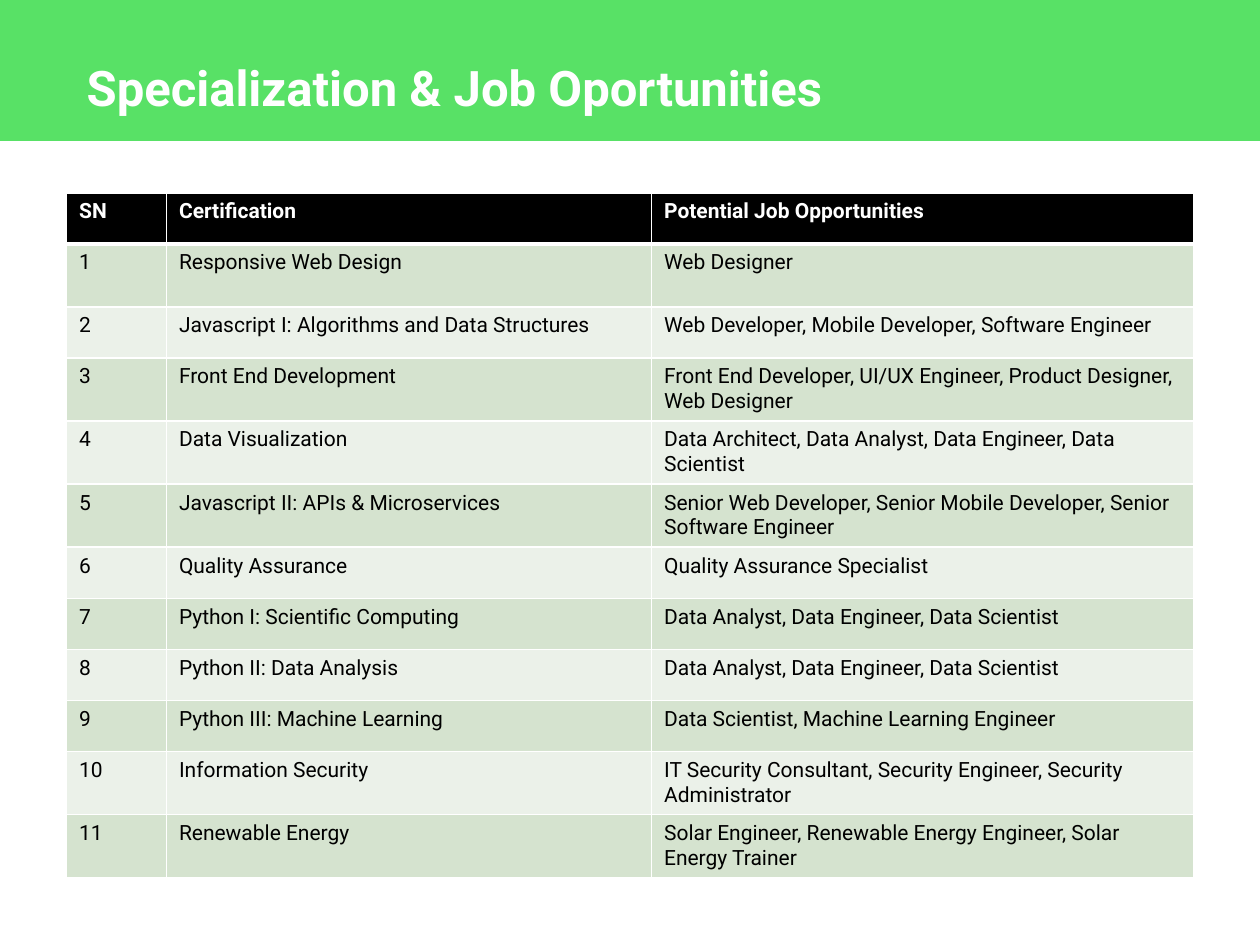
import dataclasses
import typing

import lxml.etree
import pptx
import pptx.dml.color
import pptx.enum.shapes
import pptx.enum.text
import pptx.oxml.ns
import pptx.util

Pt = pptx.util.Pt
qn = pptx.oxml.ns.qn


@dataclasses.dataclass(frozen=True)
class Theme:
    font: str = "Roboto"
    green: str = "58E166"
    white: str = "FFFFFF"
    black: str = "000000"
    bands: tuple[str, str] = ("D5E3CF", "EBF1E9")
    title: int = 28
    body: int = 12
    thin: int = 1
    thick: int = 3


@dataclasses.dataclass(frozen=True)
class Course:
    name: str
    jobs: str
    tall: bool = False


THEME = Theme()
SHORT, TALL = 29.2, 36
WIDTHS = (57.1, 277.2, 309.9)
HEADS = ("SN", "Certification", "Potential Job Opportunities")
COURSES = (
    Course("Responsive Web Design", "Web Designer", True),
    Course("Javascript I: Algorithms and Data Structures",
           "Web Developer, Mobile Developer, Software Engineer"),
    Course("Front End Development",
           "Front End Developer, UI/UX Engineer, Product Designer, Web Designer", True),
    Course("Data Visualization",
           "Data Architect, Data Analyst, Data Engineer, Data Scientist", True),
    Course("Javascript II: APIs & Microservices",
           "Senior Web Developer, Senior Mobile Developer, Senior Software Engineer", True),
    Course("Quality Assurance", "Quality Assurance Specialist"),
    Course("Python I: Scientific Computing", "Data Analyst, Data Engineer, Data Scientist"),
    Course("Python II: Data Analysis", "Data Analyst, Data Engineer, Data Scientist"),
    Course("Python III: Machine Learning", "Data Scientist, Machine Learning Engineer"),
    Course("Information Security",
           "IT Security Consultant, Security Engineer, Security Administrator", True),
    Course("Renewable Energy",
           "Solar Engineer, Renewable Energy Engineer, Solar Energy Trainer", True),
)


def paint(fill: typing.Any, color: str) -> None:
    fill.solid()
    fill.fore_color.rgb = pptx.dml.color.RGBColor.from_string(color)


def write(frame: typing.Any, text: str, size: int, color: str, bold: bool) -> None:
    run = frame.paragraphs[0].add_run()
    run.text = text
    for key, value in {"name": THEME.font, "size": Pt(size), "bold": bold}.items():
        setattr(run.font, key, value)
    paint(run.font.fill, color)


def edge(cell: typing.Any, widths: dict[str, int]) -> None:
    props = cell._tc.get_or_add_tcPr()
    for side, width in widths.items():
        line = lxml.etree.SubElement(props, qn(f"a:ln{side}"), w=str(Pt(width)))
        fill = lxml.etree.SubElement(line, qn("a:solidFill"))
        lxml.etree.SubElement(fill, qn("a:srgbClr"), val=THEME.white)


def draw_head(slide: typing.Any) -> None:
    band = slide.shapes.add_shape(
        pptx.enum.shapes.MSO_SHAPE.RECTANGLE, Pt(0), Pt(0), Pt(720), Pt(80.6))
    band.shadow.inherit = False
    paint(band.fill, THEME.green)
    band.line.fill.background()
    frame = slide.shapes.add_textbox(Pt(42.5), Pt(29.5), Pt(441.4), Pt(41)).text_frame
    form = {"word_wrap": True, "auto_size": pptx.enum.text.MSO_AUTO_SIZE.SHAPE_TO_FIT_TEXT}
    for key, value in form.items():
        setattr(frame, key, value)
    write(frame, "Specialization & Job Oportunities", THEME.title, THEME.white, True)


def draw_table(slide: typing.Any) -> None:
    rows = [HEADS] + [(str(n), c.name, c.jobs) for n, c in enumerate(COURSES, 1)]
    highs = [SHORT] + [TALL if c.tall else SHORT for c in COURSES]
    table = slide.shapes.add_table(
        len(rows), len(HEADS), Pt(38), Pt(110.2), Pt(sum(WIDTHS)), Pt(sum(highs))).table
    for col, width in zip(table.columns, WIDTHS):
        col.width = Pt(width)
    for r, (texts, high) in enumerate(zip(rows, highs)):
        table.rows[r].height = Pt(high)
        head = r == 0
        sides = {
            "L": THEME.thin,
            "R": THEME.thin,
            "T": THEME.thick if r == 1 else THEME.thin,
            "B": THEME.thick if head else THEME.thin,
        }
        for c, text in enumerate(texts):
            cell = table.cell(r, c)
            edge(cell, sides)
            paint(cell.fill, THEME.black if head else THEME.bands[(r - 1) % 2])
            write(cell.text_frame, text, THEME.body,
                  THEME.white if head else THEME.black, head)


def main() -> None:
    deck = pptx.Presentation()
    deck.slide_width, deck.slide_height = Pt(720), Pt(540)
    slide = deck.slides.add_slide(deck.slide_layouts[6])
    draw_head(slide)
    draw_table(slide)
    deck.save("out.pptx")


if __name__ == "__main__":
    main()
